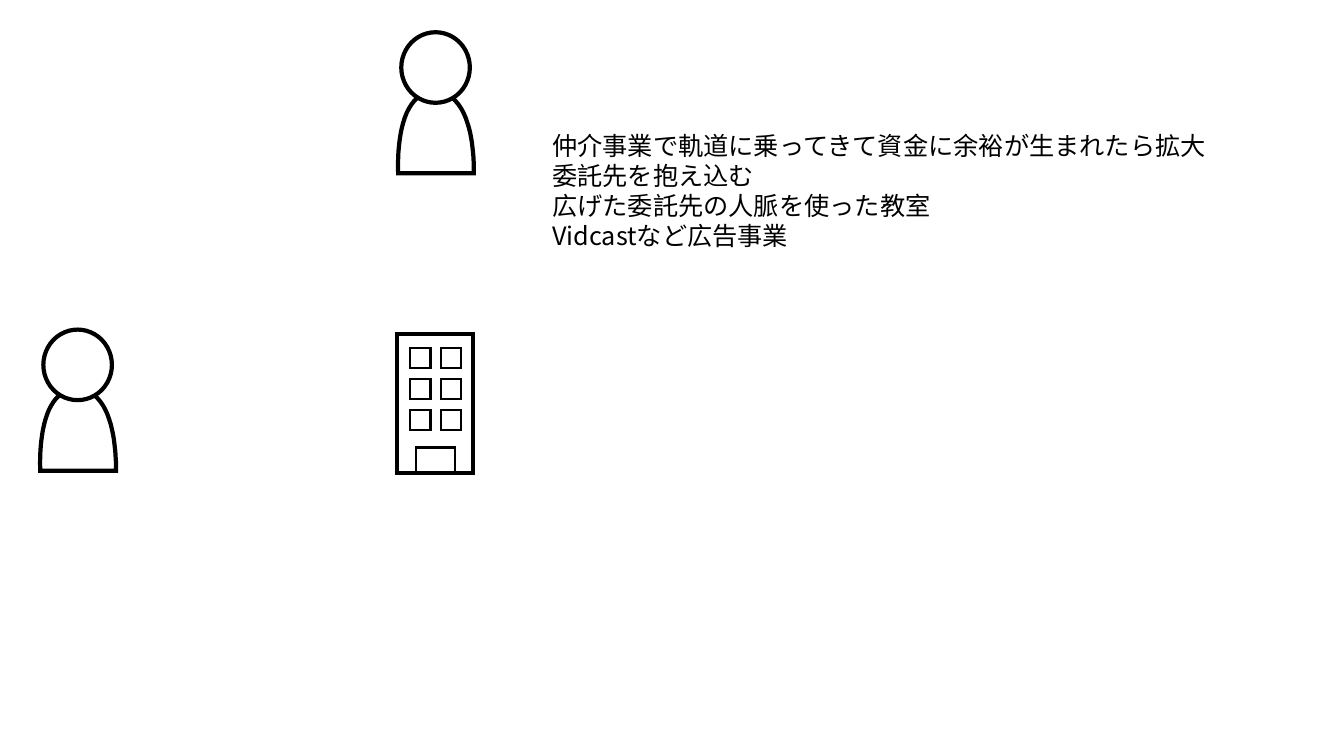
import itertools

import pptx
import pptx.dml.color
import pptx.enum.shapes
import pptx.enum.text
import pptx.oxml.ns
import pptx.util
import lxml.etree

INK = {"line": "000000", "fill": "FFFFFF", "text": "000000"}
FONT = "Noto Sans CJK JP"
KIND = pptx.enum.shapes.MSO_SHAPE
CELL = 914400  # one grid cell, an inch square
FINE = 1000  # pen steps in a cell, as the pen takes whole numbers


def color(name):
    """Return the named palette colour."""
    return pptx.dml.color.RGBColor.from_string(INK[name])


def curve(ends, steps=24):
    """Return points along a cubic curve, after its first point."""
    spots = []
    for step in range(1, steps + 1):
        t = step / steps
        parts = ((1 - t) ** 3, 3 * t * (1 - t) ** 2, 3 * t * t * (1 - t), t ** 3)
        spots.append(tuple(sum(w * e[axis] for w, e in zip(parts, ends))
                           for axis in (0, 1)))
    return spots


class Board:
    """Holds the style and the current slide; lengths are grid columns and rows."""

    def __init__(self, deck):
        """Add a blank slide to the deck."""
        self.slide = deck.slides.add_slide(deck.slide_layouts[6])

    def style(self, shape, width, filled=True):
        """Give a shape the outline and fill of the slide."""
        shape.shadow.inherit = False
        shape.line.color.rgb = color("line")
        shape.line.width = pptx.util.Pt(width)
        lxml.etree.SubElement(shape.line._get_or_add_ln(),
                              pptx.oxml.ns.qn("a:miter"), lim="800000")
        if filled:
            shape.fill.solid()
            shape.fill.fore_color.rgb = color("fill")
        else:
            shape.fill.background()

    def shape(self, group, kind, box, width, filled=True):
        """Add a preset shape to a group."""
        item = group.shapes.add_shape(kind, *(round(n * CELL) for n in box))
        self.style(item, width, filled)

    def outline(self, group, spots, width):
        """Add a closed outline through the given spots to a group."""
        start, *rest = [(round(x * FINE), round(y * FINE)) for x, y in spots]
        pen = group.shapes.build_freeform(*start, scale=CELL / FINE)
        pen.add_line_segments(rest)
        self.style(pen.convert_to_shape(), width)

    def person(self, col, row):
        """Draw a person with the head at the top of the given cell."""
        group = self.slide.shapes.add_group_shape()
        base, peak = 0.81, (0.36, 0)
        spots = [(0, base), (0.75, base)]
        spots += curve([(0.75, base), (0.75, base), (0.78, 0), peak])
        spots += curve([peak, (-0.05, 0), (0, base), (0, base)])
        self.outline(group, [(col + x, row + 0.59 + y) for x, y in spots], 3)
        self.shape(group, KIND.OVAL, (col + 0.03, row, 0.68, 0.7), 3)

    def tower(self, col, row):
        """Draw an office building with a grid of windows and a door."""
        group = self.slide.shapes.add_group_shape()
        self.shape(group, KIND.RECTANGLE, (col, row, 0.75, 1.38), 3)
        for floor, side in itertools.product(range(3), range(2)):
            box = (col + 0.13 + 0.3 * side, row + 0.14 + 0.31 * floor, 0.2, 0.2)
            self.shape(group, KIND.RECTANGLE, box, 1.5)
        door = (col + 0.19, row + 1.13, 0.38, 0.26)
        self.shape(group, KIND.RECTANGLE, door, 1.5, filled=False)

    def text(self, box, lines, size):
        """Add a text box with one paragraph for each line."""
        frame = self.slide.shapes.add_textbox(
            *(round(n * CELL) for n in box)).text_frame
        frame.word_wrap = True
        frame.auto_size = pptx.enum.text.MSO_AUTO_SIZE.SHAPE_TO_FIT_TEXT
        frame.text = "\n".join(lines)
        for para in frame.paragraphs:
            font = para.font
            font.name = FONT
            font.size = pptx.util.Pt(size)
            font.color.rgb = color("text")
            lxml.etree.SubElement(font._element, pptx.oxml.ns.qn("a:ea"),
                                  typeface=FONT)


def main():
    """Build the slide and save it."""
    deck = pptx.Presentation()
    deck.slide_width = pptx.util.Inches(13.33)
    deck.slide_height = pptx.util.Inches(7.5)
    board = Board(deck)
    board.person(3.95, 0.32)
    board.tower(3.94, 3.31)
    board.person(0.4, 3.27)
    board.text((5.38, 1.24, 7.53, 1.62), [
        "仲介事業で軌道に乗ってきて資金に余裕が生まれたら拡大",
        "委託先を抱え込む",
        "広げた委託先の人脈を使った教室",
        "Vidcastなど広告事業",
    ], 18)
    deck.save("out.pptx")


main()
